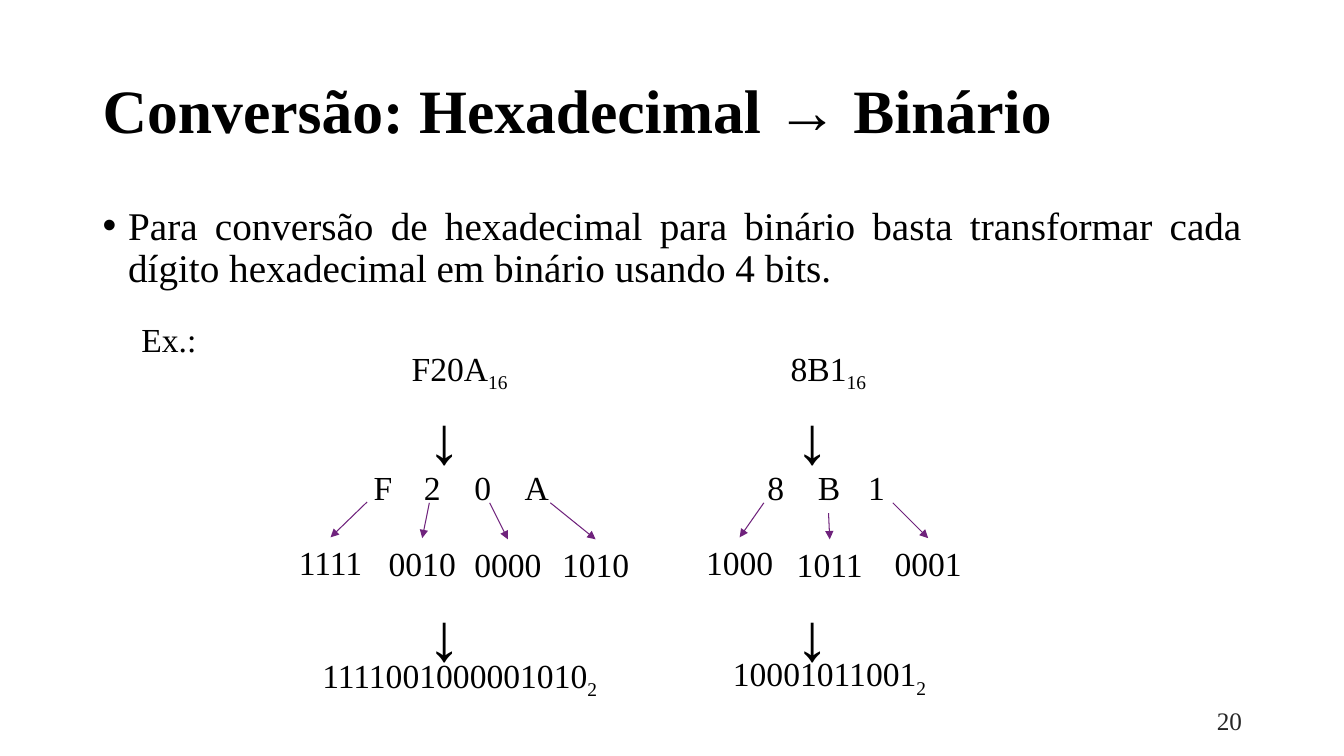
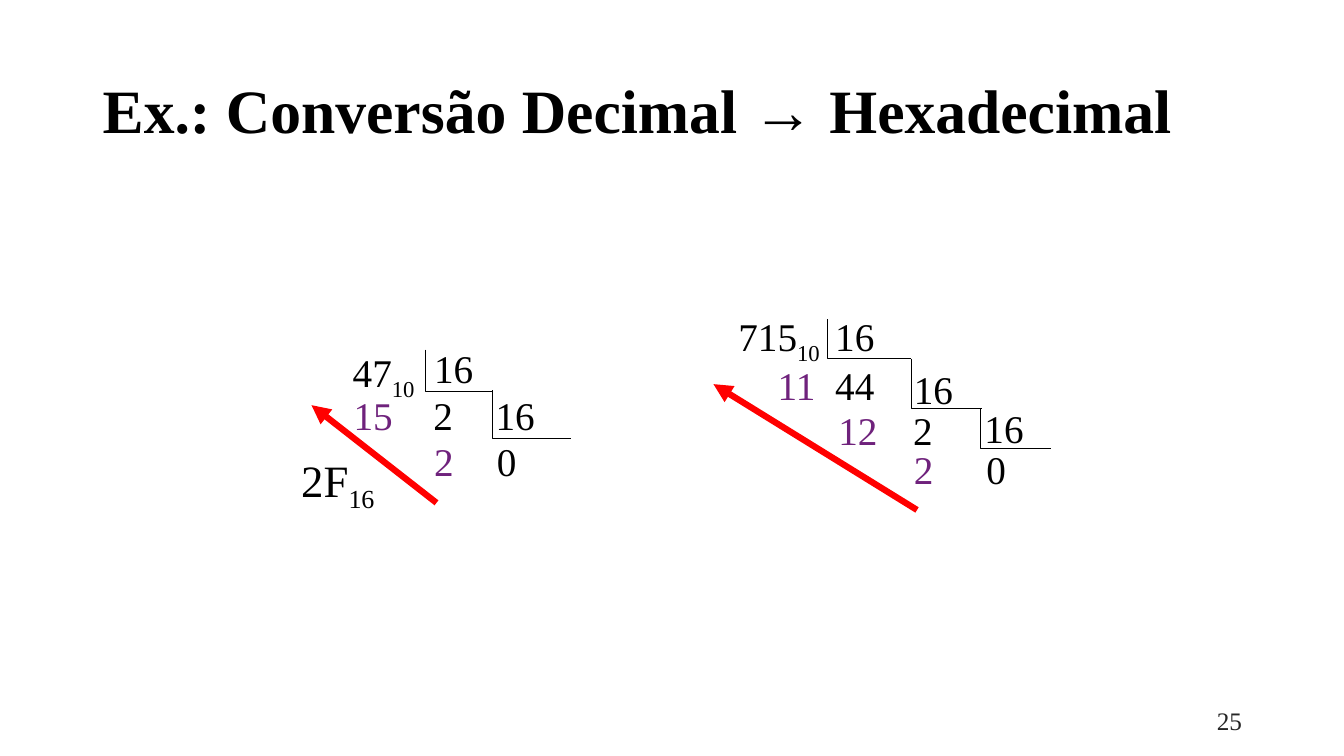
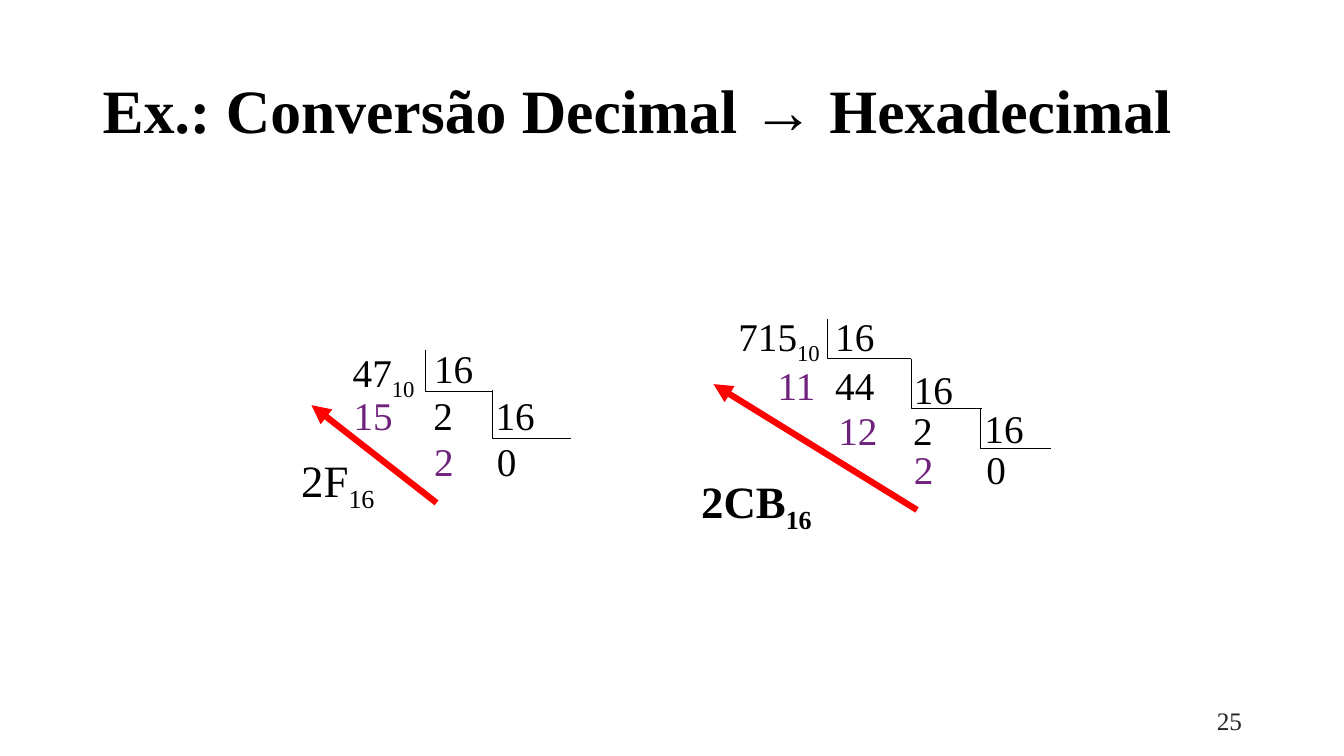
from lxml import etree
from pptx import Presentation
from pptx.dml.color import RGBColor
from pptx.enum.shapes import MSO_CONNECTOR
from pptx.enum.text import MSO_ANCHOR, PP_ALIGN
from pptx.oxml.ns import qn
from pptx.util import Cm, Pt

STRAIGHT, ELBOW = MSO_CONNECTOR.STRAIGHT, MSO_CONNECTOR.ELBOW
LEFT, CENTER, RIGHT, JUSTIFY = PP_ALIGN.LEFT, PP_ALIGN.CENTER, PP_ALIGN.RIGHT, PP_ALIGN.JUSTIFY
MIDDLE = MSO_ANCHOR.MIDDLE
FONT = "Times New Roman"
COLORS = {"ink": "000000", "accent": "6F227C", "arrow": "FF0000", "number": "262626"}


def add_text(slide, text, x, y, w, h, size, color="ink", align=LEFT, bold=False):
    """Add a text box; whatever follows "_" in the text is set as a subscript."""
    box = slide.shapes.add_textbox(Cm(x), Cm(y), Cm(w), Cm(h))
    box.text_frame.word_wrap = True
    paragraph = box.text_frame.paragraphs[0]
    paragraph.alignment = align
    base, _, subscript = text.partition("_")
    paragraph.text = base
    if subscript:
        run = paragraph.add_run()
        run.text = subscript
        run._r.get_or_add_rPr().set("baseline", "-25000")
    for run in paragraph.runs:
        run.font.name = FONT
        run.font.size = Pt(size)
        run.font.bold = bold
        run.font.color.rgb = RGBColor.from_string(COLORS[color])
    return box


def add_line(slide, kind, start, end, color, width, arrowhead=False):
    line = slide.shapes.add_connector(kind, *(Cm(v) for v in (*start, *end)))
    line.line.color.rgb = RGBColor.from_string(COLORS[color])
    line.line.width = Pt(width)
    properties = line._element.spPr
    if arrowhead:
        etree.SubElement(properties.find(qn("a:ln")), qn("a:tailEnd"), type="triangle")
    if kind == ELBOW:  # bend right at the start: down first, then across
        geometry = properties.find(qn("a:prstGeom"))
        adjustments = geometry.find(qn("a:avLst"))
        if adjustments is None:
            adjustments = etree.SubElement(geometry, qn("a:avLst"))
        etree.SubElement(adjustments, qn("a:gd"), name="adj1", fmla="val 0")
    etree.SubElement(properties, qn("a:effectLst"))
    return line


prs = Presentation()
prs.slide_width, prs.slide_height = Cm(33.87), Cm(19.05)

# Title and page number of every slide
slides = []
for title, number in [
    ("Conversão: Hexadecimal → Binário", "20"),
    ("Ex.: Conversão Decimal → Hexadecimal", "25"),
    ("Ex.: Conversão Decimal → Hexadecimal", "25"),
]:
    slide = prs.slides.add_slide(prs.slide_layouts[6])
    heading = add_text(slide, title, 2.34, 1.02, 29.21, 3.68, 44, bold=True)
    heading.text_frame.vertical_anchor = MIDDLE
    heading.text_frame.paragraphs[0].line_spacing = 0.9
    page = add_text(slide, number, 23.93, 17.65, 7.62, 1.02, 18, "number", RIGHT)
    page.text_frame.vertical_anchor = MIDDLE
    slides.append(slide)

# Hexadecimal to binary
slide = slides[0]
rule = add_text(
    slide,
    "Para conversão de hexadecimal para binário basta transformar cada dígito "
    "hexadecimal em binário usando 4 bits.",
    2.34, 5.08, 29.21, 2.6, 28, align=JUSTIFY,
).text_frame.paragraphs[0]
rule.line_spacing = 0.9
rule.space_before = Pt(10)
rule_properties = rule._p.get_or_add_pPr()
rule_properties.set("marL", str(Cm(0.64)))
rule_properties.set("indent", str(-Cm(0.64)))
etree.SubElement(rule_properties, qn("a:buFont"), typeface="Arial")
etree.SubElement(rule_properties, qn("a:buChar"), char="•")
add_text(slide, "Ex.:", 3.1, 7.9, 2.31, 1.27, 24, align=CENTER)

DIGIT_PITCH, DIGITS_WIDTH, BITS_WIDTH = 1.27, 6.32, 2.44
# left of: number, digits, down arrows, result; then top of result
# each digit: digit, bits, arrow start, left and top of bits
conversions = [
    ("F20A_16", "1111001000001010_2", (9.63, 8.41, 10.95, 7.7), 16.38, [
        ("F", "1111", (9.25, 12.65), 7.11, 13.54),
        ("2", "0010", (10.82, 12.67), 9.42, 13.56),
        ("0", "0000", (12.34, 12.67), 11.58, 13.59),
        ("A", "1010", (13.87, 12.67), 13.79, 13.59),
    ]),
    ("8B1_16", "10001011001_2", (18.92, 17.7, 20.22, 17.02), 16.33, [
        ("8", "1000", (19.25, 12.67), 17.42, 13.54),
        ("B", "1011", (20.88, 12.93), 19.69, 13.59),
        ("1", "0001", (22.5, 12.67), 22.17, 13.56),
    ]),
]
for number, binary, lefts, binary_top, digits in conversions:
    number_left, digits_left, down_left, binary_left = lefts
    add_text(slide, number, number_left, 8.64, 3.91, 1.27, 24, align=CENTER)
    for down_top in (9.63, 14.58):
        down = add_text(slide, "→", down_left, down_top, 1.27, 2.31, 48)
        down.rotation = 90

    digit_row = add_text(slide, "\t".join(d[0] for d in digits),
                         digits_left, 11.63, DIGITS_WIDTH, 1.27, 24)
    gaps = len(digits) - 1
    digit_row.text_frame.margin_left = Cm((DIGITS_WIDTH - gaps * DIGIT_PITCH - 0.5) / 2)
    row_properties = digit_row.text_frame.paragraphs[0]._p.get_or_add_pPr()
    tabs = etree.SubElement(row_properties, qn("a:tabLst"))
    for i in range(1, gaps + 1):
        etree.SubElement(tabs, qn("a:tab"), pos=str(Cm(i * DIGIT_PITCH)), algn="l")

    for _, bits, start, bits_left, bits_top in digits:
        bits_box = add_text(slide, bits, bits_left, bits_top, BITS_WIDTH, 1.27, 24, align=CENTER)
        end = (bits_left + BITS_WIDTH / 2, bits_top)
        arrow = add_line(slide, STRAIGHT, start, end, "accent", 0.75, arrowhead=True)
        arrow.end_connect(bits_box, 0)
    add_text(slide, binary, binary_left, binary_top, 7.77, 1.27, 24, align=CENTER)

# Decimal to hexadecimal by repeated division
dividends_and_quotients = [
    ("47_10", 8.64, 8.66), ("16", 10.69, 8.56), ("2", 10.67, 9.73),
    ("16", 12.24, 9.73), ("0", 12.27, 10.9),
    ("715_10", 18.36, 7.75), ("16", 20.8, 7.75), ("44", 20.8, 8.99),
    ("16", 22.78, 9.07), ("2", 22.76, 10.11), ("16", 24.56, 10.06), ("0", 24.61, 11.1),
]
remainders = [
    ("15", 8.66, 9.73), ("2", 10.69, 10.9),
    ("11", 19.35, 8.99), ("12", 20.88, 10.11), ("2", 22.78, 11.1),
]
brackets = [
    ((10.72, 8.81), (12.42, 9.86)), ((12.42, 9.83), (14.4, 11.05)),
    ((20.85, 8.05), (22.96, 9.04)), ((22.96, 9.04), (24.74, 10.29)),
    ((24.71, 10.29), (26.49, 11.3)),
]
reading_arrows = [((11, 12.67), (7.85, 10.21)), ((23.11, 12.85), (17.98, 9.68))]
for slide in slides[1:]:
    for color, figures in (("ink", dividends_and_quotients), ("accent", remainders)):
        for figure, x, y in figures:
            add_text(slide, figure, x, y, 2.95 if "_" in figure else 2.46, 1.45, 28, color)
    for start, end in brackets:
        add_line(slide, ELBOW, start, end, "ink", 0.75)
    for start, end in reading_arrows:
        add_line(slide, STRAIGHT, start, end, "arrow", 4.5, arrowhead=True)
    result = add_text(slide, "2F_16", 7.34, 11.28, 2.54, 1.63, 32)
    result.text_frame.word_wrap = False

final_result = add_text(slides[2], "2CB_16", 17.42, 11.81, 3.43, 1.63, 32, bold=True)
final_result.text_frame.word_wrap = False

prs.save("out.pptx")
